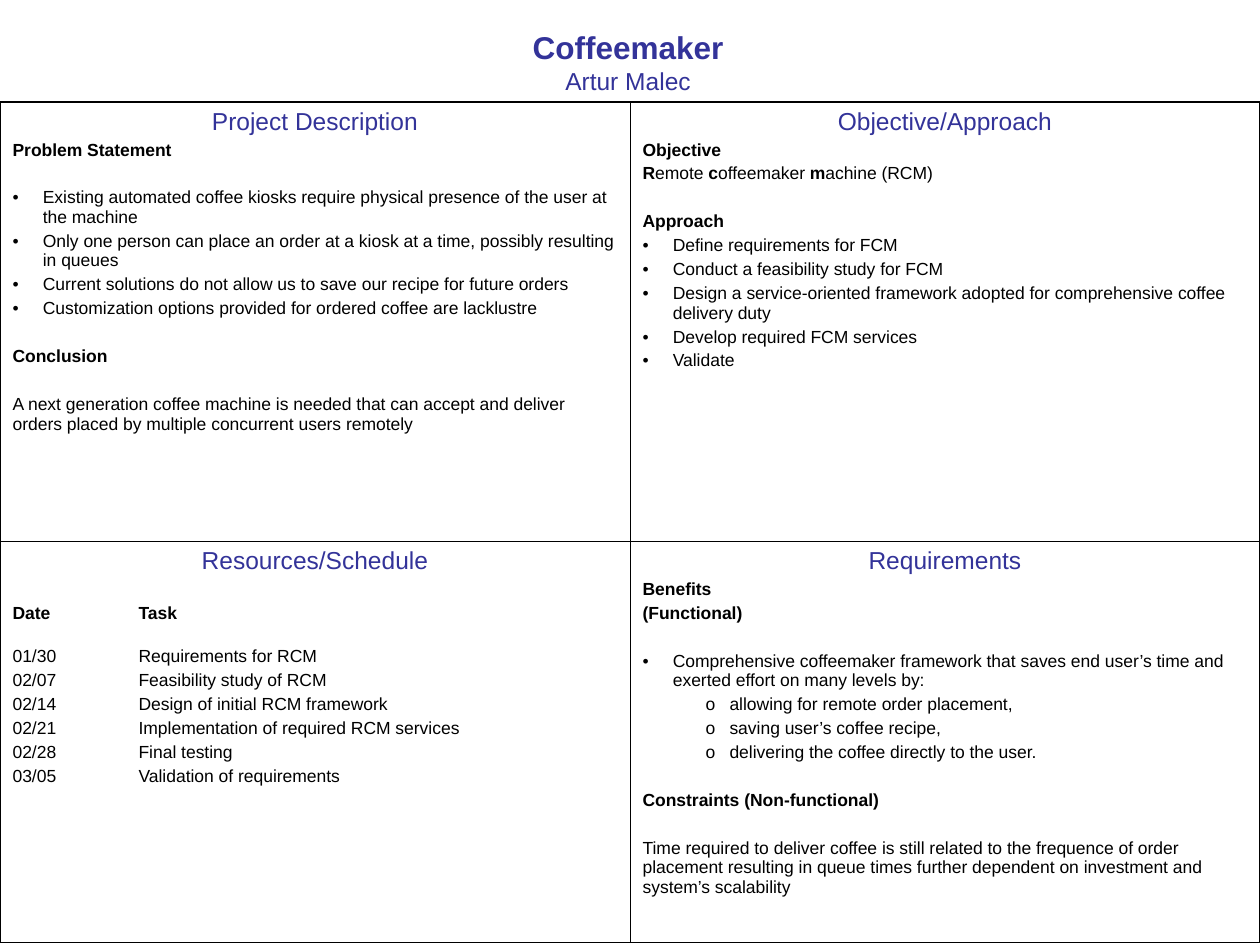
from lxml import etree
from pptx import Presentation
from pptx.dml.color import RGBColor
from pptx.enum.text import MSO_AUTO_SIZE, PP_ALIGN
from pptx.oxml.ns import qn
from pptx.util import Inches, Pt

CENTER, LEFT = PP_ALIGN.CENTER, PP_ALIGN.LEFT
FIT_SHAPE = MSO_AUTO_SIZE.SHAPE_TO_FIT_TEXT
NAVY = RGBColor(0x33, 0x33, 0x99)
BLACK = RGBColor(0, 0, 0)
FONT = "Arial"
WIDTH, HEIGHT = Inches(10), Inches(7.5)
TITLE_BOX = (0.082, 0.023, 0.833, 0.085)
GRID_BOX = (0, 0.108, 1, 0.889)
ROW_SHARES = (0.523, 0.477)
OUTER, INNER = 1.08, 0.45
STEP, GAP = 2.5, 16.2
BULLETS = {"bullet": ("•", 0.24, 0.24), "sub": ("o", 0.69, 0.19)}

QUADRANTS = [
    [
        ("Project Description", [
            ("plain", "*Problem Statement*", STEP),
            ("bullet", "Existing automated coffee kiosks require physical presence of the user at the machine", GAP),
            ("bullet", "Only one person can place an order at a kiosk at a time, possibly resulting in queues", STEP),
            ("bullet", "Current solutions do not allow us to save our recipe for future orders", STEP),
            ("bullet", "Customization options provided for ordered coffee are lacklustre", STEP),
            ("plain", "*Conclusion*", GAP),
            ("plain", "A next generation coffee machine is needed that can accept and deliver "
                      "orders placed by multiple concurrent users remotely", GAP),
        ]),
        ("Objective/Approach", [
            ("plain", "*Objective*", STEP),
            ("plain", "*R*emote *c*offeemaker *m*achine (RCM)", STEP),
            ("plain", "*Approach*", GAP),
            ("bullet", "Define requirements for FCM", STEP),
            ("bullet", "Conduct a feasibility study for FCM", STEP),
            ("bullet", "Design a service-oriented framework adopted for comprehensive coffee delivery duty", STEP),
            ("bullet", "Develop required FCM services", STEP),
            ("bullet", "Validate", STEP),
        ]),
    ],
    [
        ("Resources/Schedule", [
            ("plain", "*Date\tTask*", GAP),
            ("plain", "01/30\tRequirements for RCM", 13.6),
            ("plain", "02/07\tFeasibility study of RCM", STEP),
            ("plain", "02/14\tDesign of initial RCM framework", STEP),
            ("plain", "02/21\tImplementation of required RCM services", STEP),
            ("plain", "02/28\tFinal testing", STEP),
            ("plain", "03/05\tValidation of requirements", STEP),
        ]),
        ("Requirements", [
            ("plain", "*Benefits*", STEP),
            ("plain", "*(Functional)*", STEP),
            ("bullet", "Comprehensive coffeemaker framework that saves end user’s time and "
                       "exerted effort on many levels by:", GAP),
            ("sub", "allowing for remote order placement,", STEP),
            ("sub", "saving user’s coffee recipe,", STEP),
            ("sub", "delivering the coffee directly to the user.", STEP),
            ("plain", "*Constraints (Non-functional)*", GAP),
            ("plain", "Time required to deliver coffee is still related to the frequence of order "
                      "placement resulting in queue times further dependent on investment and "
                      "system’s scalability", GAP),
        ]),
    ],
]


def place(box):
    """Turn shares of the page into left, top, width and height."""
    left, top, width, height = box
    return round(left * WIDTH), round(top * HEIGHT), round(width * WIDTH), round(height * HEIGHT)


def write(para, text, size, color, align=LEFT, before=0):
    """Fill a paragraph, setting the words between asterisks in bold."""
    para.alignment = align
    para.space_before = Pt(before)
    for index, part in enumerate(text.split("*")):
        if part:
            span = para.add_run()
            span.text = part
            span.font.name, span.font.size = FONT, Pt(size)
            span.font.bold = index % 2 == 1
            span.font.color.rgb = color


def add_solid(parent, tag, color):
    """Append a colour element below the given parent."""
    holder = etree.SubElement(parent, qn(tag))
    etree.SubElement(holder, qn("a:srgbClr"), val=str(color))


def set_bullet(para, kind):
    """Give a paragraph its bullet sign and hanging indent."""
    sign, margin, hanging = BULLETS[kind]
    props = para._p.get_or_add_pPr()
    props.set("marL", str(Inches(margin)))
    props.set("indent", str(-Inches(hanging)))
    add_solid(props, "a:buClr", BLACK)
    etree.SubElement(props, qn("a:buFont"), typeface=FONT)
    etree.SubElement(props, qn("a:buChar"), char=sign)


def set_tabs(para):
    """Put a left tab stop at every inch."""
    stops = etree.SubElement(para._p.get_or_add_pPr(), qn("a:tabLst"))
    for inch in range(1, 8):
        etree.SubElement(stops, qn("a:tab"), pos=str(Inches(inch)), algn="l")


def set_borders(cell, row, column):
    """Draw the frame of a cell, heavier at the left, top and right of the grid."""
    widths = {
        "a:lnL": INNER if column else OUTER,
        "a:lnR": OUTER if column else INNER,
        "a:lnT": INNER if row else OUTER,
        "a:lnB": INNER,
    }
    props = cell._tc.get_or_add_tcPr()
    for tag, width in widths.items():
        add_solid(etree.SubElement(props, qn(tag), w=str(Pt(width))), "a:solidFill", BLACK)


def add_title(page, box):
    """Place the project name and its author."""
    frame = page.shapes.add_textbox(*place(box)).text_frame
    frame.word_wrap = True
    frame.auto_size = FIT_SHAPE
    write(frame.paragraphs[0], "*Coffeemaker*", 18, NAVY, CENTER)
    write(frame.add_paragraph(), "Artur Malec", 14, NAVY, CENTER)


def fill_quadrant(cell, heading, lines):
    """Write one heading and its lines into a cell."""
    frame = cell.text_frame
    write(frame.paragraphs[0], heading, 14, NAVY, CENTER, 3.5)
    for kind, text, before in lines:
        para = frame.add_paragraph()
        write(para, text, 10, BLACK, before=before)
        if kind in BULLETS:
            para.level = int(kind == "sub")
            set_bullet(para, kind)
        set_tabs(para)


def add_quadrants(page, box):
    """Place the two-by-two table of project facts."""
    left, top, width, height = place(box)
    table = page.shapes.add_table(2, 2, left, top, width, height).table
    table.first_row = table.horz_banding = False
    for row, quadrants in enumerate(QUADRANTS):
        table.rows[row].height = round(height * ROW_SHARES[row])
        for column, (heading, lines) in enumerate(quadrants):
            cell = table.cell(row, column)
            set_borders(cell, row, column)
            cell.fill.background()
            fill_quadrant(cell, heading, lines)


def main():
    """Build the one-page deck."""
    deck = Presentation()
    deck.slide_width, deck.slide_height = WIDTH, HEIGHT
    page = deck.slides.add_slide(deck.slide_layouts[6])
    add_title(page, TITLE_BOX)
    add_quadrants(page, GRID_BOX)
    deck.save("out.pptx")


if __name__ == "__main__":
    main()
